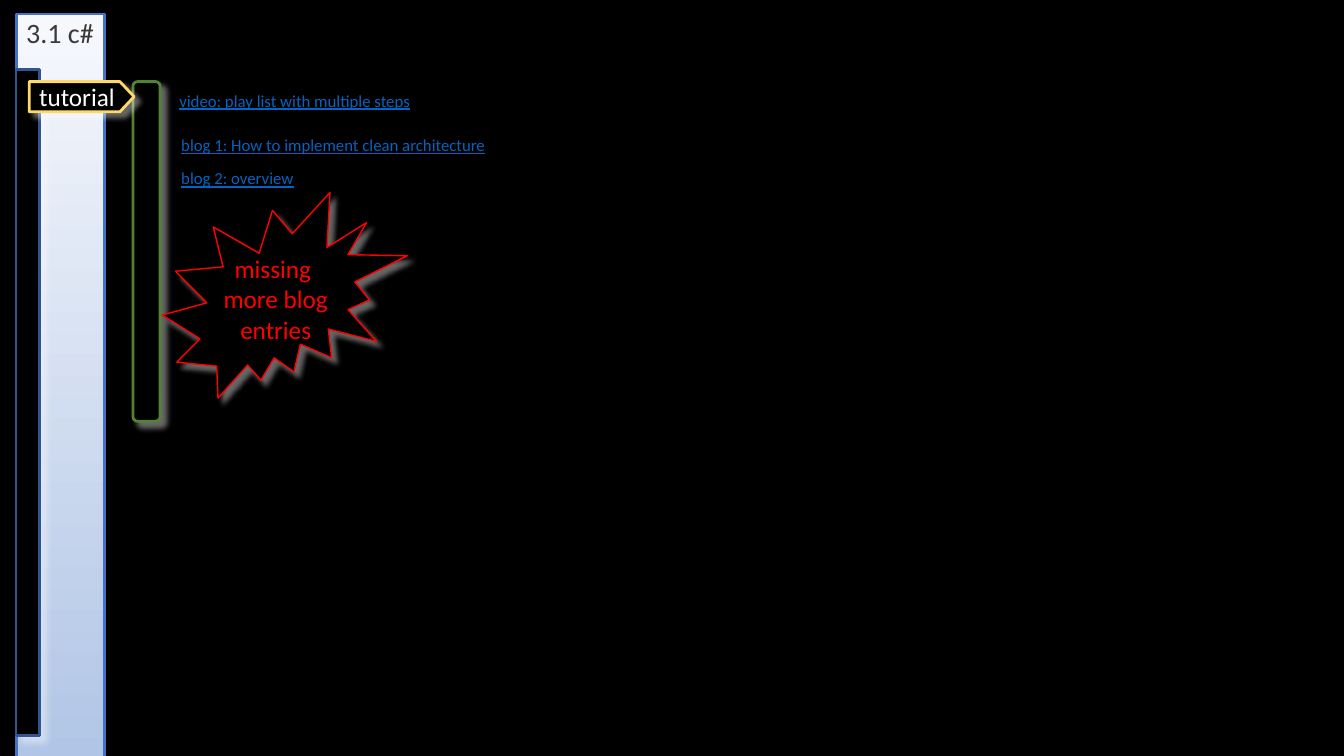
"""Build the C# tutorial slide with its side panel, links and reminder burst."""
from lxml.etree import SubElement
from pptx import Presentation
from pptx.dml.color import RGBColor
from pptx.enum.shapes import MSO_SHAPE
from pptx.enum.text import MSO_ANCHOR, MSO_AUTO_SIZE, PP_ALIGN
from pptx.oxml.ns import qn
from pptx.util import Pt

COLORS = {
    "black": "000000", "white": "FFFFFF", "title": "3B3838",
    "title_edge": "4472C4", "panel_edge": "325491", "bar_edge": "548235",
    "tag_edge": "FFD966", "link": "0563C1", "red": "FF0000",
    "gradient_top": "F6F8FC", "gradient_bottom": "B1C5E6",
}


def color(name):
    return RGBColor.from_string(COLORS[name])


def write(shape, text, size, name, align=PP_ALIGN.LEFT):
    frame = shape.text_frame
    frame.text = text
    frame.word_wrap = False
    frame.auto_size = MSO_AUTO_SIZE.NONE
    for para in frame.paragraphs:
        para.alignment = align
        for span in para.runs:
            span.font.name = "Calibri"
            span.font.size = Pt(size)
            span.font.color.rgb = color(name)
    return frame


deck = Presentation()
deck.slide_width, deck.slide_height = Pt(960), Pt(540)
page = deck.slides.add_slide(deck.slide_layouts[5])
page.background.fill.solid()
page.background.fill.fore_color.rgb = color("black")

title = page.shapes.title
title.left, title.top, title.width, title.height = Pt(11.5), Pt(10), Pt(63.4), Pt(532)
title.fill.gradient()
title.fill.gradient_angle = 270
for stop, name in zip(title.fill.gradient_stops, ("gradient_top", "gradient_bottom")):
    stop.color.rgb = color(name)
title.line.color.rgb = color("title_edge")
title.line.width = Pt(2)
title_frame = write(title, "3.1 c#", 20, "title")
title_frame.vertical_anchor = MSO_ANCHOR.TOP
title_frame.paragraphs[0].line_spacing = 0.9

bar = page.shapes.add_shape(
    MSO_SHAPE.ROUNDED_RECTANGLE, Pt(95), Pt(58.3), Pt(19.4), Pt(242.6))
panel = page.shapes.add_shape(
    MSO_SHAPE.RECTANGLE, Pt(11.5), Pt(49.7), Pt(16.6), Pt(476))

outline = page.shapes.build_freeform(Pt(20.9), Pt(58.3))
outline.add_line_segments(
    [(Pt(x), Pt(y)) for x, y in ((85.7, 58.3), (95.8, 69.1), (85.7, 79.9), (20.9, 79.9))])
tag = outline.convert_to_shape()

links = (
    ("video: play list with multiple steps", 121, 61.2, 182.2),
    ("blog 1: How to implement clean architecture", 122.4, 92.9, 234.7),
    ("blog 2: overview", 122.4, 116.6, 95.8),
)
for text, left, top, width in links:
    box = page.shapes.add_textbox(Pt(left), Pt(top), Pt(width), Pt(21.6))
    link_frame = write(box, text, 12, "link")
    link_frame.paragraphs[0].runs[0].font.underline = True

burst = page.shapes.add_shape(
    MSO_SHAPE.EXPLOSION2, Pt(115.9), Pt(137.5), Pt(175), Pt(146.9))

outlined = ((bar, "bar_edge", 2), (panel, "panel_edge", 2),
            (tag, "tag_edge", 2), (burst, "red", 1))
for shape, edge, weight in outlined:
    shape.fill.solid()
    shape.fill.fore_color.rgb = color("black")
    shape.line.color.rgb = color(edge)
    shape.line.width = Pt(weight)
    shape.shadow.inherit = False
    effects = shape._element.spPr.find(qn("a:effectLst"))
    shadow = SubElement(
        effects, qn("a:outerShdw"), blurRad=str(Pt(4)), dist=str(Pt(5)),
        dir="2700000", algn="tl", rotWithShape="0")
    tint = SubElement(shadow, qn("a:srgbClr"), val=COLORS["white"])
    SubElement(tint, qn("a:alpha"), val="40000")

tag_frame = write(tag, "tutorial", 18, "white")
tag_frame.margin_left, tag_frame.margin_right = Pt(7.2), Pt(14.4)
burst_frame = write(burst, "missing \nmore blog\nentries", 18, "red", PP_ALIGN.CENTER)
burst_frame.margin_left = burst_frame.margin_right = 0
for frame in (tag_frame, burst_frame):
    frame.margin_top = frame.margin_bottom = 0
    frame.vertical_anchor = MSO_ANCHOR.MIDDLE

deck.save("out.pptx")
